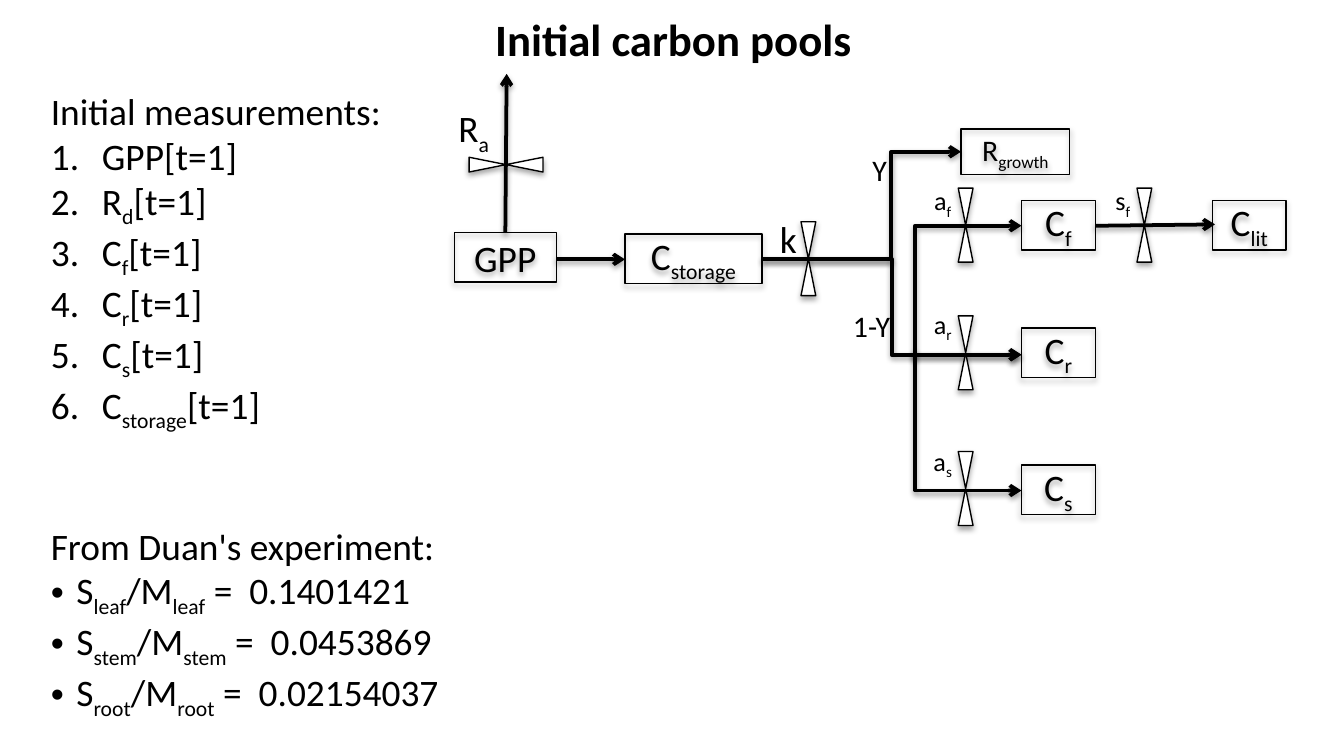
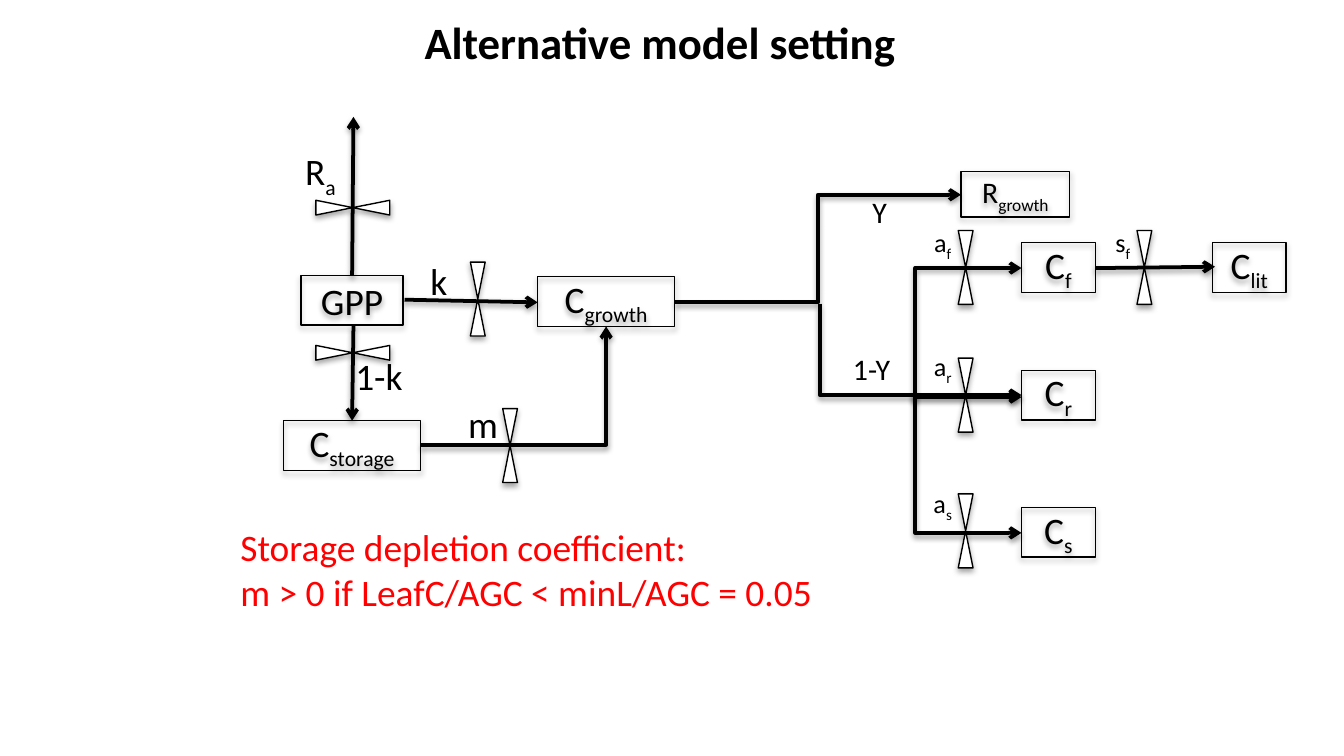
from lxml.etree import SubElement
from pptx import Presentation
from pptx.dml.color import RGBColor
from pptx.enum.shapes import MSO_CONNECTOR as Link, MSO_SHAPE as Preset
from pptx.enum.text import MSO_ANCHOR as Anchor, PP_ALIGN as Align
from pptx.oxml.ns import qn
from pptx.util import Inches, Pt

CELL = Inches(0.1)  # the slide is a grid of 100 columns by 56.25 rows
BLACK, WHITE, RED = "000000", "FFFFFF", "FF0000"
FONT = "Calibri"
VALVE_WIDTH, VALVE_HEIGHT = 1.1, 5.5
POOL = (5.5, 3.7)
WIDE_POOL = (10.2, 3.7)
CORNER = "corner"


def ink(code):
    return RGBColor.from_string(code)


def write(frame, lines, size, color=BLACK, align=Align.LEFT, bold=False,
          bullet=None, indent=0):
    """Every second part between bars is a subscript; bullets start at line two."""
    frame.word_wrap = True
    for number, line in enumerate(lines):
        para = frame.paragraphs[0] if number == 0 else frame.add_paragraph()
        para.alignment = align
        if bullet and number:
            props = para._p.get_or_add_pPr()
            props.set("marL", str(Inches(indent)))
            props.set("indent", str(-Inches(indent)))
            if bullet == "•":
                SubElement(props, qn("a:buFont"), typeface="Arial")
                SubElement(props, qn("a:buChar"), char=bullet)
            else:
                SubElement(props, qn("a:buAutoNum"), type=bullet)
        para.font.name, para.font.size, para.font.bold = FONT, Pt(size), bold
        para.font.color.rgb = ink(color)
        for place, text in enumerate(line.split("|")):
            if text:
                span = para.add_run()
                span.text = text
                if place % 2:
                    span._r.get_or_add_rPr().set("baseline", "-25000")


# Parts in grid cells
# boxes and labels: text, left, top, width, height, size
# arrows: start, end, bend (None is straight, a number is the share of the width)
# valves: centre, rotation
uptake = {
    "boxes": [("GPP", 33.8, 17.3, 7.6, 3.7, 20)],
    "arrows": [(37.6, 17.3, 37.7, 5.5, None)],
    "valves": [(37.65, 12.25, 90)],
    "labels": [("R|a", 33, 7.9, 4.5, 3.7, 20)],
}
allocation = {
    "boxes": [("C|r", 76, 24.4, *POOL, 20), ("C|f", 76, 14.9, *POOL, 20),
              ("C|s", 76, 34.6, *POOL, 20), ("C|lit", 90.2, 14.9, *POOL, 20),
              ("R|growth", 71.5, 9.6, 8.1, 3.4, 16)],
    "arrows": [(68.1, 26, 76, 36.5, 0), (68.1, 26.7, 76, 16.8, 0),
               (67.9, 26.4, 76, 26.4, None), (81.5, 16.8, 90.4, 16.7, None)],
    "valves": [(71.85, 16.75, 0), (71.85, 36.35, 0), (71.85, 26.25, 0),
               (85.15, 16.75, 0)],
    "labels": [("a|f", 68.3, 13.6, 3.7, 2.9, 14), ("a|r", 68.3, 22.8, 3.7, 2.9, 14),
               ("a|s", 68.3, 33, 3.7, 2.9, 14), ("s|f", 81.7, 13.6, 3.7, 2.9, 14),
               ("Y", 63.7, 10.9, 3.5, 3.4, 16), ("1-Y", 62.3, 22.7, 5.1, 3.1, 16)],
}
storage_in_line = {
    "boxes": [("C|storage", 46.5, 17.4, *WIDE_POOL, 20)],
    "arrows": [(41.4, 19.3, 46.5, 19.3, None), (56.7, 19.3, 76, 26.4, 0.5),
               (56.7, 19.3, 71.5, 11.3, 0.65)],
    "valves": [(60.15, 19.25, 0)],
    "labels": [("k", 56.4, 15.9, 4.5, 3.7, 20)],
}
storage_on_side = {
    "boxes": [("C|storage", 21.1, 31.3, *WIDE_POOL, 20),
              ("C|growth", 40, 20.6, *WIDE_POOL, 20)],
    "arrows": [(26.3, 24.2, 26.2, 31.3, None), (31.3, 33.1, 45.1, 24.3, CORNER),
               (50.2, 22.5, 71.5, 14.5, 0.5), (30.1, 22.3, 40, 22.5, None),
               (61, 22.6, 76, 29.4, 0)],
    "valves": [(37.95, 33.15, 0), (35.55, 22.25, 0), (26.25, 26.25, 90)],
    "labels": [("m", 33.7, 29.7, 4.5, 3.7, 20), ("1-k", 25.3, 26.1, 5.8, 3.7, 20),
               ("k", 29.5, 19, 6.3, 3.7, 20)],
}

# Slides: title and its corner, part groups with their shift, notes beside the diagram
measured = ["GPP", "R|d|", "C|f|", "C|r|", "C|s|", "C|storage|"]
ratios = {"leaf": "0.1401421", "stem": "0.0453869", "root": "0.02154037"}
slides = [
    ("Initial carbon pools", 2.2, 0.4,
     [(uptake, 0, 0), (allocation, 0, 0), (storage_in_line, 0, 0)],
     [((2.8, 6.1, 26.8, 24.6),
       ["Initial measurements:"] + [f"{pool}[t=1]" for pool in measured],
       BLACK, "arabicPeriod", 0.38),
      ((2.8, 38.4, 50, 14.5),
       ["From Duan's experiment:"]
       + [f"S|{organ}|/M|{organ}| =  {value}" for organ, value in ratios.items()],
       BLACK, "•", 0.19)]),
    ("Alternative model setting", 1.2, 0.6,
     [(uptake, -11.4, 3.2), (allocation, 0, 3.15), (storage_on_side, 0, 0)],
     [((16.9, 38.5, 45.2, 7.7),
       ["Storage depletion coefficient:", "m > 0 if LeafC/AGC < minL/AGC = 0.05"],
       RED, None, 0)]),
]

deck = Presentation()
deck.slide_width = Inches(10)
deck.slide_height = deck.slide_width * 9 // 16

for title, title_left, title_top, groups, notes in slides:
    page = deck.slides.add_slide(deck.slide_layouts[6])
    parts = page.shapes
    drawn = []  # shapes with line width, shadow opacity and shadow distance

    # Title
    box = parts.add_textbox(*[int(n * CELL) for n in (title_left, title_top, 95.8, 4.9)])
    write(box.text_frame, [title], 24, align=Align.CENTER, bold=True)

    for group, right, down in groups:
        # Arrows
        for x1, y1, x2, y2, bend in group["arrows"]:
            kind = Link.STRAIGHT if bend is None else Link.ELBOW
            ends = (x1 + right, y1 + down, x2 + right, y2 + down)
            arrow = parts.add_connector(kind, *[int(n * CELL) for n in ends])
            SubElement(arrow.line._get_or_add_ln(), qn("a:tailEnd"), type="arrow")
            outline = arrow._element.spPr.find(qn("a:prstGeom"))
            if bend == CORNER:
                outline.set("prst", "bentConnector2")
            elif bend is not None:
                SubElement(outline.find(qn("a:avLst")), qn("a:gd"), name="adj1",
                           fmla=f"val {int(bend * 100000)}")
            drawn.append((arrow, 2, 38, 1.6))

        # Valves
        for x, y, turn in group["valves"]:
            area = (x + right - VALVE_WIDTH / 2, y + down - VALVE_HEIGHT / 2,
                    VALVE_WIDTH, VALVE_HEIGHT)
            valve = parts.add_shape(Preset.FLOWCHART_COLLATE,
                                    *[int(n * CELL) for n in area])
            valve.rotation = turn
            valve.fill.solid()
            valve.fill.fore_color.rgb = ink(WHITE)
            drawn.append((valve, 0.75, 35, 1.8))

        # Pools and labels
        for kind in ("boxes", "labels"):
            for text, x, y, width, height, size in group[kind]:
                area = [int(n * CELL) for n in (x + right, y + down, width, height)]
                if kind == "boxes":
                    box = parts.add_shape(Preset.RECTANGLE, *area)
                    box.fill.background()
                    drawn.append((box, 0.75, 35, 1.8))
                else:
                    box = parts.add_textbox(*area)
                frame = box.text_frame
                frame.margin_left = frame.margin_right = 0
                frame.vertical_anchor = Anchor.MIDDLE
                write(frame, [text], size, align=Align.CENTER)

    # Lines and shadows
    for shape, weight, opacity, distance in drawn:
        shape.line.width = Pt(weight)
        shape.line.color.rgb = ink(BLACK)
        effects = SubElement(shape._element.spPr, qn("a:effectLst"))
        shadow = SubElement(effects, qn("a:outerShdw"), blurRad=str(Pt(3.1)),
                            dist=str(Pt(distance)), dir="5400000", rotWithShape="0")
        tone = SubElement(shadow, qn("a:srgbClr"), val=BLACK)
        SubElement(tone, qn("a:alpha"), val=str(opacity * 1000))

    # Notes
    for area, lines, color, bullet, indent in notes:
        box = parts.add_textbox(*[int(n * CELL) for n in area])
        write(box.text_frame, lines, 20, color, bullet=bullet, indent=indent)

deck.save("out.pptx")
